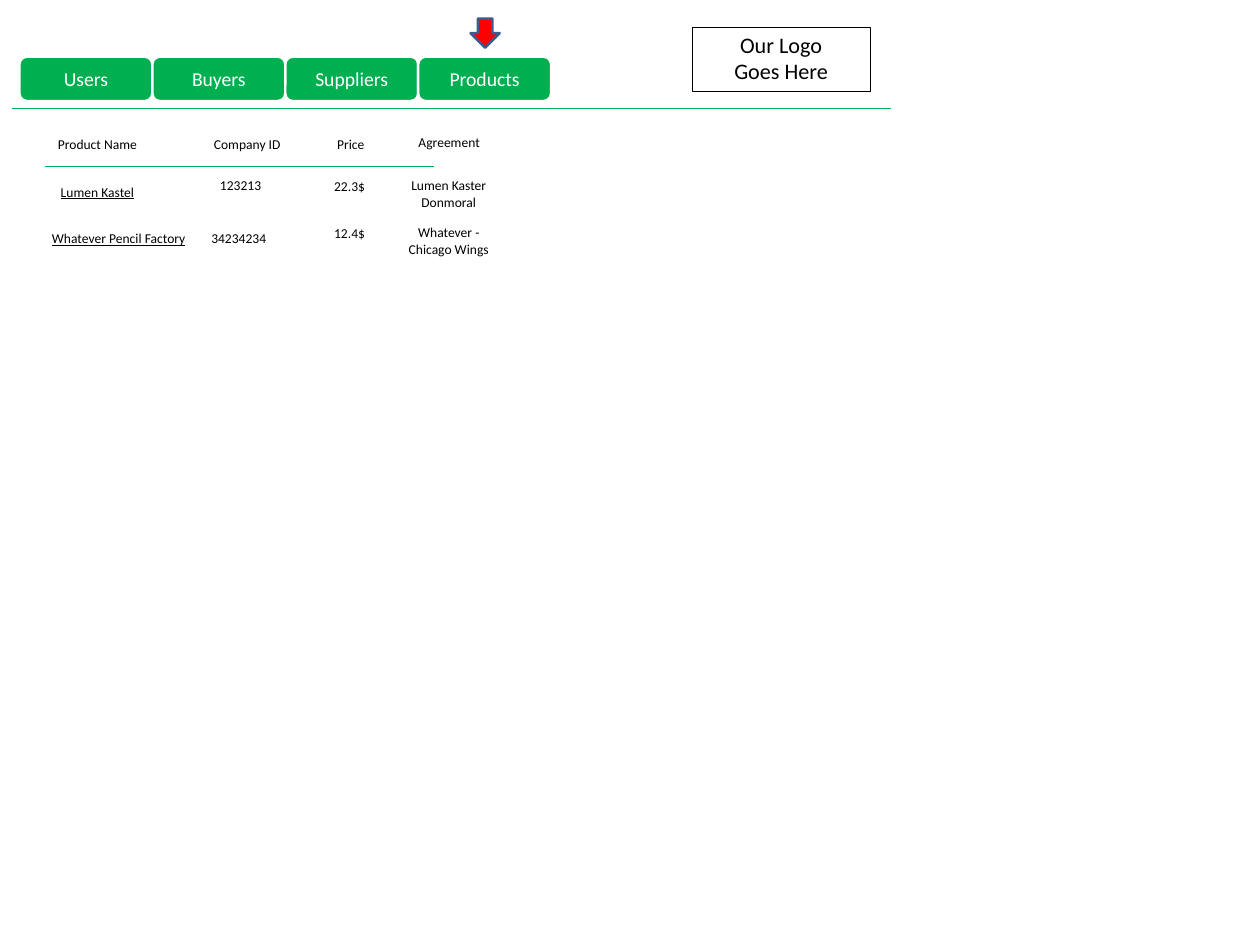
import pptx
import pptx.util
import pptx.dml.color
import pptx.enum.shapes
import pptx.enum.text
import pptx.oxml.ns
import lxml.etree

Inches = pptx.util.Inches
SHAPE = pptx.enum.shapes.MSO_SHAPE
ANCHOR = pptx.enum.text.MSO_ANCHOR
COLORS = {"green": "00B050", "white": "FFFFFF", "black": "000000",
          "red": "FF0000", "navy": "395E89"}


def rgb(name):
    return pptx.dml.color.RGBColor.from_string(COLORS[name])


def write(tf, text, size=11, color="black", underline=None, anchor=ANCHOR.TOP):
    """Fill a text frame with centred text, one paragraph per line."""
    tf.word_wrap = True
    tf.vertical_anchor = anchor
    tf.margin_left = tf.margin_right = Inches(0.04)
    tf.margin_top = tf.margin_bottom = Inches(0.04)
    for i, line in enumerate(text.split("\n")):
        p = tf.add_paragraph() if i else tf.paragraphs[0]
        p.alignment = pptx.enum.text.PP_ALIGN.CENTER
        r = p.add_run()
        r.text = line
        r.font.name = "Calibri"
        r.font.size = pptx.util.Pt(size)
        r.font.color.rgb = rgb(color)
        r.font.underline = underline


class Page:
    def __init__(self, slide):
        self.shapes = slide.shapes

    def shape(self, kind, box, line, width, fill=None):
        sp = self.shapes.add_shape(kind, *map(Inches, box))
        sp.shadow.inherit = False
        if fill:
            sp.fill.solid()
            sp.fill.fore_color.rgb = rgb(fill)
        else:
            sp.fill.background()
        sp.line.color.rgb = rgb(line)
        sp.line.width = pptx.util.Pt(width)
        return sp

    def text(self, box, text, **style):
        sp = self.shapes.add_textbox(*map(Inches, box))
        write(sp.text_frame, text, **style)

    def rule(self, left, right, y):
        cx = self.shapes.add_connector(
            pptx.enum.shapes.MSO_CONNECTOR.STRAIGHT,
            Inches(left), Inches(y), Inches(right), Inches(y))
        cx.line.color.rgb = rgb("green")
        cx.line.width = pptx.util.Pt(0.75)
        sp_pr = cx._element.spPr
        lxml.etree.SubElement(sp_pr, pptx.oxml.ns.qn("a:effectLst"))


def main():
    prs = pptx.Presentation()
    prs.slide_width, prs.slide_height = Inches(14.22), Inches(10.66)
    page = Page(prs.slides.add_slide(prs.slide_layouts[6]))

    # Navigation tabs
    for i, tab in enumerate(["Users", "Buyers", "Suppliers", "Products"]):
        sp = page.shape(SHAPE.ROUNDED_RECTANGLE, (0.22 + 1.5 * i, 0.64, 1.5, 0.5),
                        "white", 2, "green")
        write(sp.text_frame, tab, size=16, color="white", anchor=ANCHOR.MIDDLE)
    page.rule(0.14, 10.06, 1.22)

    # Marker above the current tab
    page.shape(SHAPE.DOWN_ARROW, (5.31, 0.21, 0.33, 0.33), "navy", 2, "red")

    # Logo placeholder
    logo = page.shape(SHAPE.RECTANGLE, (7.81, 0.31, 2.01, 0.72), "black", 0.75)
    write(logo.text_frame, "Our Logo\nGoes Here", size=18)

    # Column headings
    for left, top, heading in [(0.6, 1.49, "Product Name"), (2.29, 1.49, "Company ID"),
                               (3.46, 1.49, "Price"), (4.57, 1.47, "Agreement")]:
        page.text((left, top, 1, 0.26), heading)
    page.rule(0.51, 4.9, 1.88)

    # Product rows: each cell is left, top, text
    products = [
        [(0, 2.03, "Lumen Kastel"), (2.21, 1.96, "123213"),
         (3.44, 1.97, "22.3$"), (4.56, 1.96, "Lumen Kaster Donmoral")],
        [(0.24, 2.56, "Whatever Pencil Factory"), (2.19, 2.56, "34234234"),
         (3.44, 2.5, "12.4$"), (4.56, 2.49, "Whatever - Chicago Wings")],
    ]
    column_sizes = [(2.2, 0.26), (1.01, 0.44), (1.01, 0.26), (1.01, 0.44)]
    for row in products:
        for col, ((left, top, text), size) in enumerate(zip(row, column_sizes)):
            page.text((left, top, *size), text, underline=True if col == 0 else None)

    prs.save("out.pptx")


if __name__ == "__main__":
    main()
